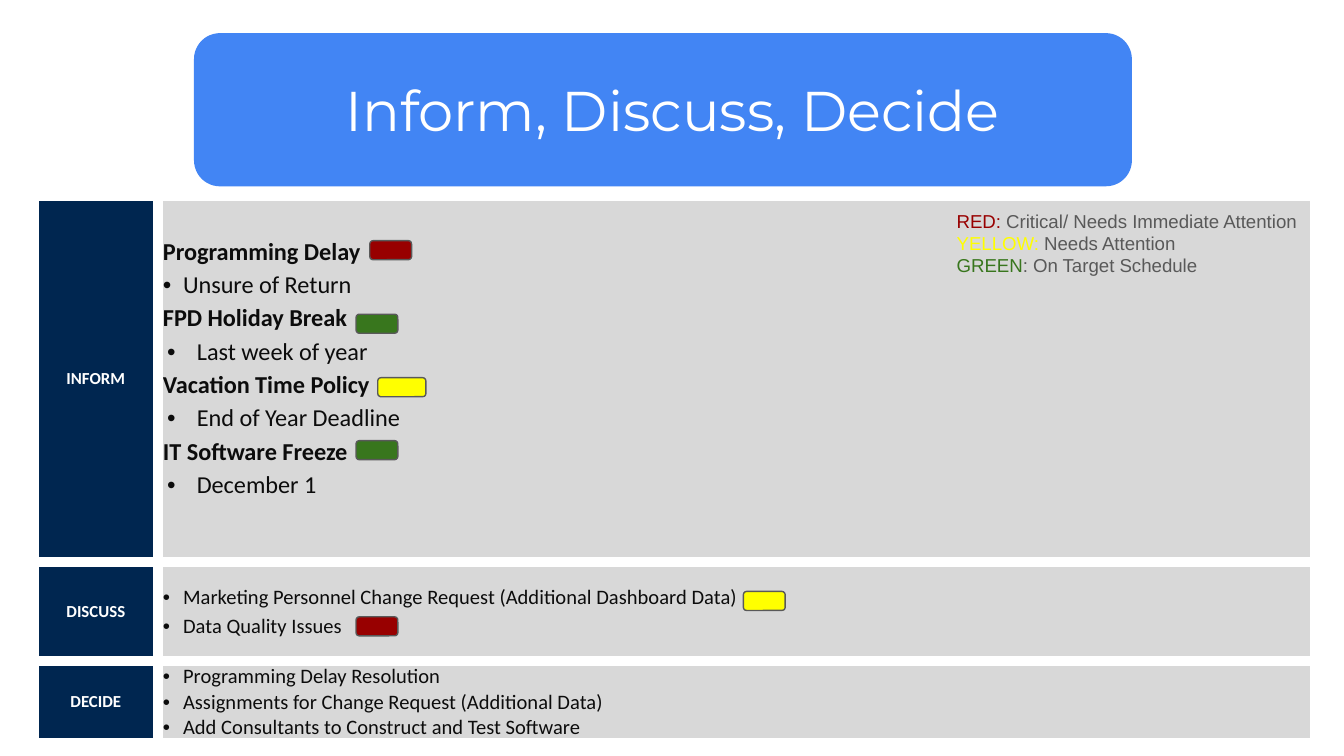
"""Build the Inform, Discuss, Decide status slide."""
from lxml import etree
from pptx import Presentation
from pptx import util as u
from pptx.dml.color import RGBColor
from pptx.enum import shapes, text
from pptx.oxml.ns import qn

WHITE = RGBColor(0xFF, 0xFF, 0xFF)
NAVY = RGBColor(0x00, 0x26, 0x50)
PALE = RGBColor(0xD8, 0xD8, 0xD8)
INK = RGBColor(0x0C, 0x0C, 0x0C)
GREY = RGBColor(0x59, 0x59, 0x59)
RED = RGBColor(0x98, 0x00, 0x00)
YELLOW = RGBColor(0xFF, 0xFF, 0x00)
GREEN = RGBColor(0x38, 0x76, 0x1D)
BLUE = RGBColor(0x42, 0x85, 0xF4)


def add_span(para, words, size, font, color, bold=False):
    span = para.add_run()
    span.text = words
    span.font.size = u.Pt(size)
    span.font.name = font
    span.font.bold = bold
    span.font.color.rgb = color


def add_rounded(page, left, top, width, height, fill, line):
    shape = page.shapes.add_shape(shapes.MSO_SHAPE.ROUNDED_RECTANGLE,
                                  u.Cm(left), u.Cm(top), u.Cm(width), u.Cm(height))
    shape.shadow.inherit = False
    shape.fill.solid()
    shape.fill.fore_color.rgb = fill
    shape.line.color.rgb = line
    shape.line.width = u.Pt(0.75)


deck = Presentation()
deck.slide_width, deck.slide_height = u.Cm(25.4), u.Cm(14.29)
page = deck.slides.add_slide(deck.slide_layouts[5])

# Each item: words, bold, left margin and indent in cm (None for headings), space before
SUB = (0.64, -0.56)
ITEM = (0.38, -0.41)
sections = [
    ("INFORM", 6.91, 13, [
        ("Programming Delay", None, 0), ("Unsure of Return", (0.38, -0.43), 2),
        ("FPD Holiday Break", None, 2), ("Last week of year", SUB, 2),
        ("Vacation Time Policy", None, 2), ("End of Year Deadline", SUB, 2),
        ("IT Software Freeze", None, 2), ("December 1", SUB, 2)]),
    ("DISCUSS", 1.88, 11, [
        ("Marketing Personnel Change Request (Additional Dashboard Data)", ITEM, 0),
        ("Data Quality Issues", ITEM, 2)]),
    ("DECIDE", 1.19, 11, [
        ("Programming Delay Resolution", ITEM, 0),
        ("Assignments for Change Request (Additional Data)", ITEM, 0),
        ("Add Consultants to Construct and Test Software", ITEM, 0)]),
]

table = page.shapes.add_table(3, 2, u.Cm(0.64), u.Cm(3.71), u.Cm(24.21), u.Cm(9.98)).table
table.first_row = table.horz_banding = False
table.columns[0].width, table.columns[1].width = u.Cm(2.34), u.Cm(21.87)

for row, (label, height, size, items) in enumerate(sections):
    table.rows[row].height = u.Cm(height)
    label_cell, list_cell = table.cell(row, 0), table.cell(row, 1)
    for cell, fill in ((label_cell, NAVY), (list_cell, PALE)):
        cell.margin_left = cell.margin_right = u.Cm(0.1)
        cell.margin_top = cell.margin_bottom = u.Cm(0.05)
        cell.vertical_anchor = text.MSO_ANCHOR.MIDDLE
        properties = cell._tc.get_or_add_tcPr()
        for side in ("a:lnL", "a:lnR", "a:lnT", "a:lnB"):
            border = etree.SubElement(properties, qn(side), w=str(u.Pt(6)))
            solid = etree.SubElement(border, qn("a:solidFill"))
            etree.SubElement(solid, qn("a:srgbClr"), val=str(WHITE))
        cell.fill.solid()
        cell.fill.fore_color.rgb = fill

    para = label_cell.text_frame.paragraphs[0]
    para.alignment = text.PP_ALIGN.CENTER
    add_span(para, label, 9, "Calibri", WHITE, True)

    frame = list_cell.text_frame
    for index, (words, indent, before) in enumerate(items):
        para = frame.add_paragraph() if index else frame.paragraphs[0]
        if indent:
            properties = para._p.get_or_add_pPr()
            properties.set("marL", str(u.Cm(indent[0])))
            properties.set("indent", str(u.Cm(indent[1])))
            color = etree.SubElement(properties, qn("a:buClr"))
            etree.SubElement(color, qn("a:srgbClr"), val=str(INK))
            etree.SubElement(properties, qn("a:buFont"), typeface="Arial")
            etree.SubElement(properties, qn("a:buChar"), char="•")
        if before:
            para.space_before = u.Pt(before)
        add_span(para, words, size, "Calibri", INK, indent is None)

table.cell(0, 1).margin_bottom = u.Cm(0.45)

legend = page.shapes.add_textbox(u.Cm(17.83), u.Cm(3.71), u.Cm(7.24), u.Cm(2.49)).text_frame
legend.word_wrap = True
legend.margin_left = legend.margin_right = u.Cm(0.25)
legend.margin_top = legend.margin_bottom = u.Cm(0.25)
meanings = [("RED:", RED, " Critical/ Needs Immediate Attention"),
            ("YELLOW:", YELLOW, " Needs Attention"),
            ("GREEN", GREEN, ": On Target Schedule")]
for index, (name, color, meaning) in enumerate(meanings):
    para = legend.add_paragraph() if index else legend.paragraphs[0]
    add_span(para, name, 10, "Arial", color)
    add_span(para, meaning, 10, "Arial", GREY)

chips = [(6.99, 4.55, 0.79, RED), (6.73, 5.94, 0.79, GREEN), (6.73, 8.33, 0.79, GREEN),
         (7.14, 7.14, 0.91, YELLOW), (14.05, 11.18, 0.79, YELLOW), (6.73, 11.66, 0.79, RED)]
for left, top, width, color in chips:
    add_rounded(page, left, top, width, 0.36, color, GREY)

add_rounded(page, 3.68, 0.64, 17.7, 2.87, BLUE, BLUE)
title = page.shapes.title
page.shapes._spTree.append(title._element)
title.left, title.top, title.width, title.height = u.Cm(5.05), u.Cm(1.17), u.Cm(15.32), u.Cm(1.8)
frame = title.text_frame
frame.auto_size = text.MSO_AUTO_SIZE.NONE
frame.vertical_anchor = text.MSO_ANCHOR.MIDDLE
para = frame.paragraphs[0]
para.alignment = text.PP_ALIGN.CENTER
add_span(para, "Inform, Discuss, Decide", 30, "Montserrat", WHITE)

deck.save("out.pptx")
